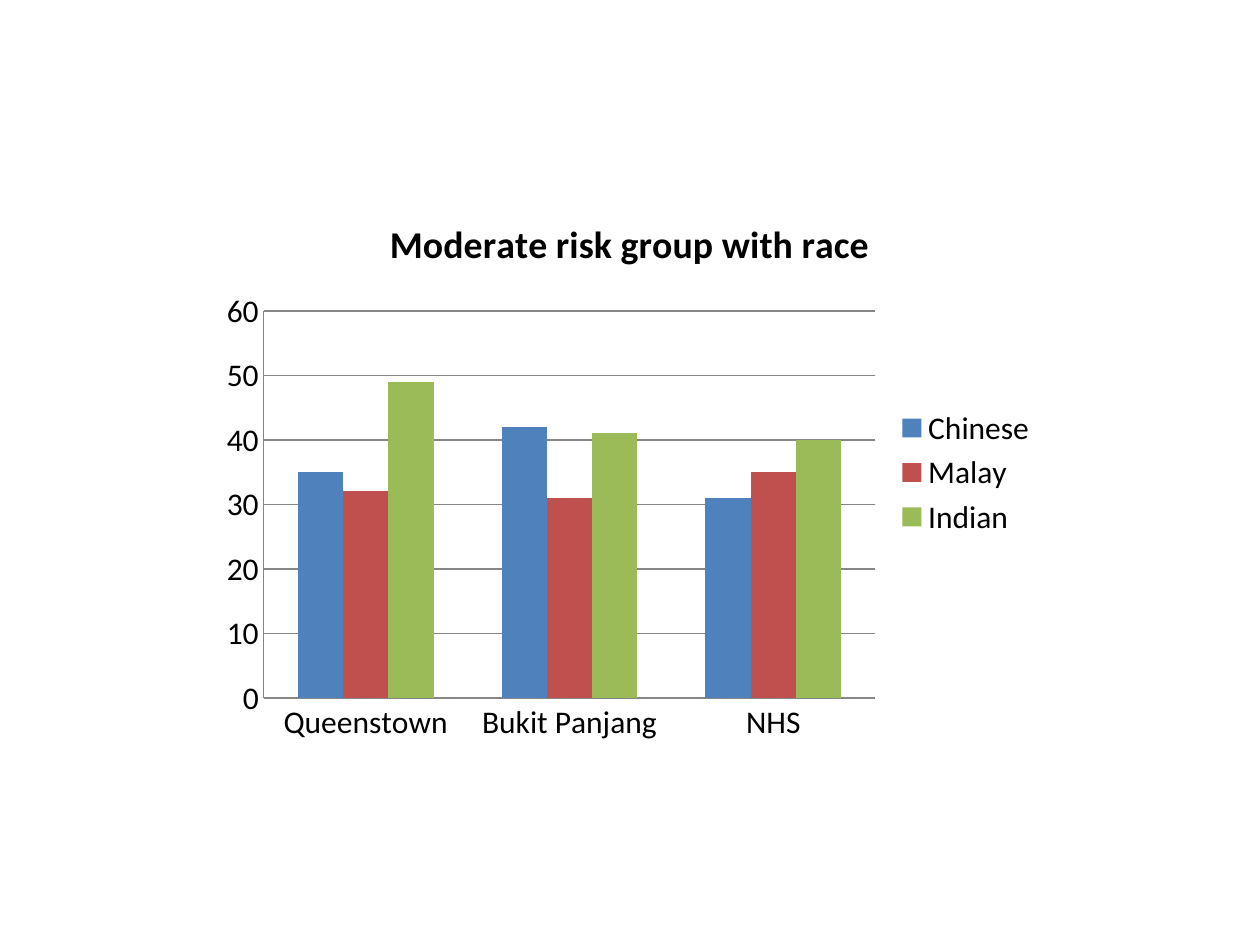
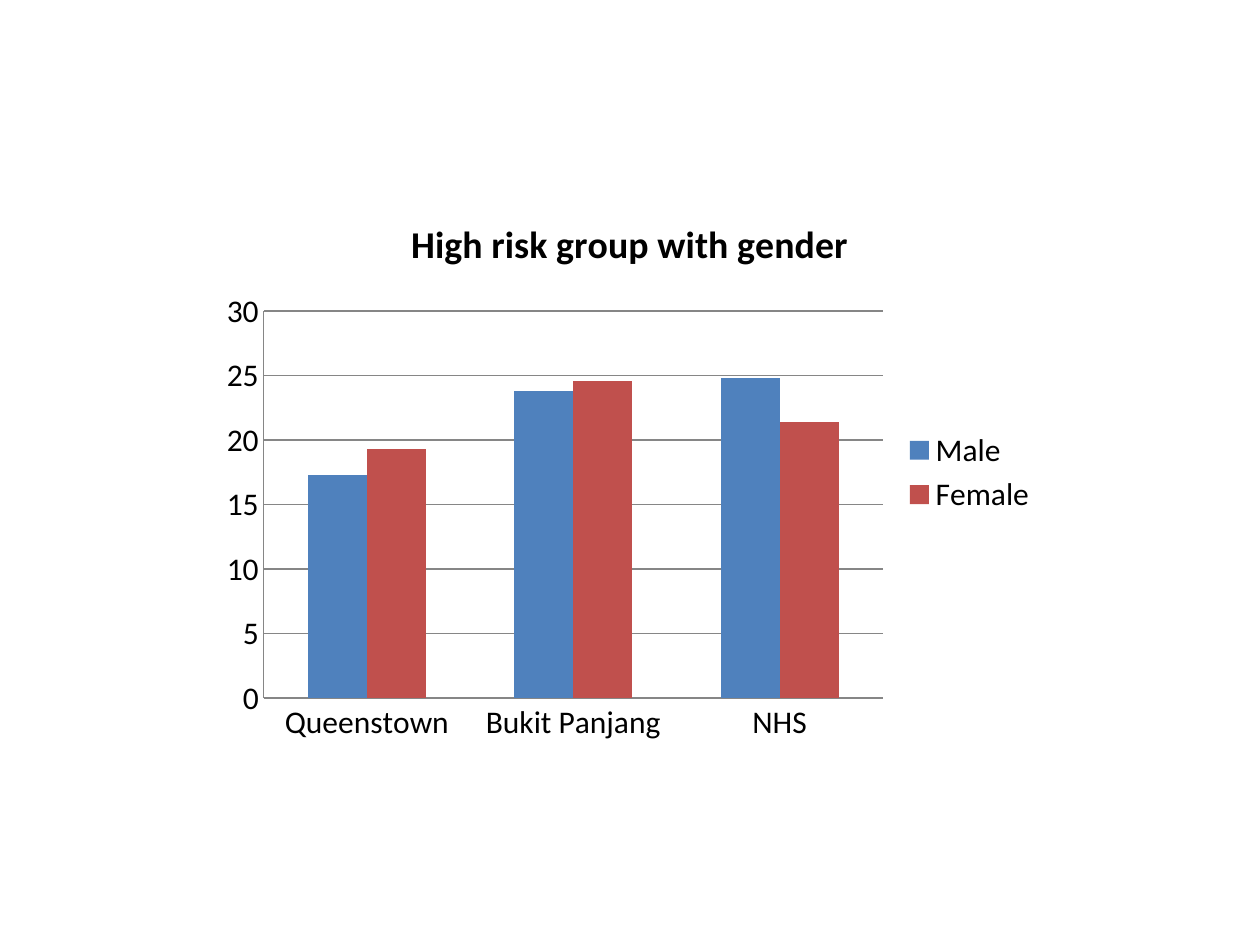
from pptx import Presentation
from pptx import util as u
from pptx.chart.data import CategoryChartData
from pptx.dml.color import RGBColor
from pptx.enum import chart as charts

COLOURS = {"text": "000000", "line": "868686", "background": "FFFFFF",
           "blue": "4F81BD", "red": "C0504D", "green": "9BBB59"}
SERIES_COLOURS = ("blue", "red", "green")
FONT = "Calibri"
TEXT_SIZE, TITLE_SIZE = 18, 21.6
WIDTH, HEIGHT = u.Inches(10), u.Inches(7.5)
# Left, top, width and height as shares of the slide
CHART_BOX = (1 / 6, 0.204, 2 / 3, 0.592)

PLACES = ("Queenstown", "Bukit Panjang", "NHS")
RISK_CHARTS = (
    ("Moderate risk group with race", 60, 10,
     {"Chinese": (35, 42, 31), "Malay": (32, 31, 35), "Indian": (49, 41, 40)}),
    ("High risk group with gender", 30, 5,
     {"Male": (17.3, 23.8, 24.8), "Female": (19.3, 24.6, 21.4)}),
)


def colour(name):
    return RGBColor.from_string(COLOURS[name])


def style_font(font, size, bold=False):
    font.name, font.size, font.bold = FONT, u.Pt(size), bold
    font.color.rgb = colour("text")


def style_line(line):
    line.color.rgb = colour("line")
    line.width = u.Pt(0.75)


def style_axes(chart, maximum, step):
    for axis in (chart.category_axis, chart.value_axis):
        axis.major_tick_mark = axis.minor_tick_mark = charts.XL_TICK_MARK.NONE
        style_line(axis.format.line)
    values = chart.value_axis
    values.minimum_scale, values.maximum_scale = 0, maximum
    values.major_unit = step
    values.has_major_gridlines = True
    style_line(values.major_gridlines.format.line)
    values.tick_labels.number_format = "General"
    values.tick_labels.number_format_is_linked = False


def add_risk_chart(slide, box, title, maximum, step, groups):
    data = CategoryChartData()
    data.categories = PLACES
    for name, percentages in groups.items():
        data.add_series(name, percentages)
    left, top, width, height = box
    chart = slide.shapes.add_chart(
        charts.XL_CHART_TYPE.COLUMN_CLUSTERED,
        int(left * WIDTH), int(top * HEIGHT),
        int(width * WIDTH), int(height * HEIGHT), data).chart
    style_font(chart.font, TEXT_SIZE)

    chart.has_title = True
    chart.chart_title.include_in_layout = False
    paragraph = chart.chart_title.text_frame.paragraphs[0]
    paragraph.text = title
    style_font(paragraph.font, TITLE_SIZE, bold=True)

    chart.has_legend = True
    chart.legend.position = charts.XL_LEGEND_POSITION.RIGHT
    chart.legend.include_in_layout = False

    style_axes(chart, maximum, step)
    plot = chart.plots[0]
    plot.gap_width, plot.overlap = 150, 0
    plot.vary_by_categories = False
    for series, name in zip(plot.series, SERIES_COLOURS):
        series.invert_if_negative = False
        series.format.fill.solid()
        series.format.fill.fore_color.rgb = colour(name)


def add_risk_slide(presentation, *chart_details):
    slide = presentation.slides.add_slide(presentation.slide_layouts[6])
    slide.background.fill.solid()
    slide.background.fill.fore_color.rgb = colour("background")
    add_risk_chart(slide, CHART_BOX, *chart_details)


def main():
    presentation = Presentation()
    presentation.slide_width, presentation.slide_height = WIDTH, HEIGHT
    for chart_details in RISK_CHARTS:
        add_risk_slide(presentation, *chart_details)
    presentation.save("out.pptx")


if __name__ == "__main__":
    main()
